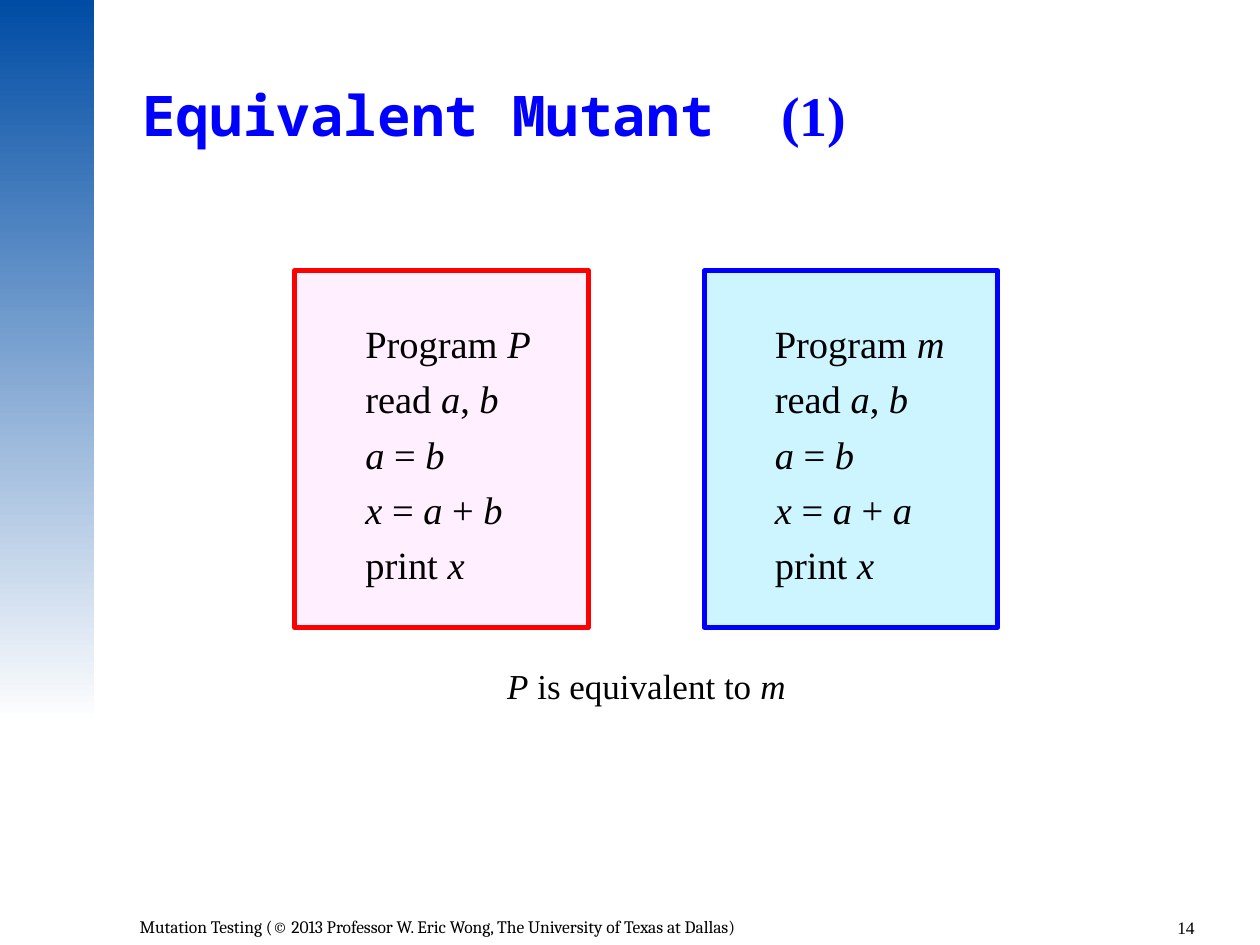
from lxml import etree
from pptx import Presentation
from pptx.dml.color import RGBColor
from pptx.enum import shapes, text
from pptx.oxml.ns import qn
from pptx.util import Inches, Pt

BLUE = RGBColor(0x00, 0x00, 0xFF)
RED = RGBColor(0xFF, 0x00, 0x00)
BLACK = RGBColor(0x00, 0x00, 0x00)
WHITE = RGBColor(0xFF, 0xFF, 0xFF)
NAVY = RGBColor(0x00, 0x4C, 0xA5)
PINK = RGBColor(0xFF, 0xEF, 0xFF)
CYAN = RGBColor(0xCD, 0xF5, 0xFF)
SERIF = "Times New Roman"


def style(run, size, font=SERIF, color=BLACK, bold=False, italic=False):
    run.font.size = Pt(size)
    run.font.name = font
    run.font.color.rgb = color
    run.font.bold = bold
    run.font.italic = italic


def write_math(paragraph, marked, size):
    for index, part in enumerate(marked.split("*")):
        if part:
            run = paragraph.add_run()
            run.text = part
            style(run, size, italic=index % 2 == 1)


def add_box(slide, box, fill):
    panel = slide.shapes.add_shape(
        shapes.MSO_SHAPE.RECTANGLE, *map(Inches, box))
    panel.shadow.inherit = False
    panel.line.fill.background()
    panel.fill.solid()
    panel.fill.fore_color.rgb = fill
    panel.text_frame.vertical_anchor = text.MSO_ANCHOR.MIDDLE
    return panel


def add_side_band(slide, box):
    band = add_box(slide, box, NAVY)
    band.fill.gradient()
    band.fill.gradient_angle = 270
    for stop, position, color in zip(
            band.fill.gradient_stops, (0, 1), (NAVY, WHITE)):
        stop.position = position
        stop.color.rgb = color


def add_title(slide, box, topic, number, number_offset):
    title = slide.shapes.title
    title.left, title.top, title.width, title.height = map(Inches, box)
    frame = title.text_frame
    frame.margin_left = frame.margin_right = 0
    frame.margin_top = frame.margin_bottom = 0
    frame.vertical_anchor = text.MSO_ANCHOR.TOP
    frame.auto_size = text.MSO_AUTO_SIZE.NONE
    heading = frame.paragraphs[0]
    heading.alignment = text.PP_ALIGN.LEFT
    heading.line_spacing = 0.9
    for words, font in ((topic + "\t", "Noto Sans Mono"), (number, SERIF)):
        run = heading.add_run()
        run.text = words
        style(run, 32, font, BLUE, bold=True)
    tabs = etree.SubElement(heading._p.get_or_add_pPr(), qn("a:tabLst"))
    etree.SubElement(tabs, qn("a:tab"),
                     pos=str(Inches(number_offset)), algn="l")


def add_program(slide, box, statements, fill, border):
    panel = add_box(slide, box, fill)
    panel.line.color.rgb = border
    panel.line.width = Pt(3)
    frame = panel.text_frame
    frame.margin_left = Inches(0.56)
    for index, statement in enumerate(statements):
        line = frame.add_paragraph() if index else frame.paragraphs[0]
        line.alignment = text.PP_ALIGN.LEFT
        line.line_spacing = 1.2
        write_math(line, statement, 22)


def add_programs(slide, box, gap):
    left, top, width, height = box
    column = (width - gap) / 2
    programs = (("P", "b", PINK, RED), ("m", "a", CYAN, BLUE))
    for index, (name, operand, fill, border) in enumerate(programs):
        statements = (f"Program *{name}*", "read *a*, *b*", "*a* = *b*",
                      f"*x* = *a* + *{operand}*", "print *x*")
        add_program(slide, (left + index * (column + gap), top, column, height),
                    statements, fill, border)


def add_conclusion(slide, box):
    conclusion = add_box(slide, box, WHITE)
    conclusion.text_frame.word_wrap = False
    line = conclusion.text_frame.paragraphs[0]
    line.alignment = text.PP_ALIGN.CENTER
    write_math(line, "*P* is equivalent to *m*", 20)


def add_footer_text(slide, box, words, font, alignment):
    footer = slide.shapes.add_textbox(*map(Inches, box))
    footer.text_frame.word_wrap = True
    line = footer.text_frame.paragraphs[0]
    line.text = words
    line.alignment = alignment
    style(line.runs[0], 10, font)


def main():
    deck = Presentation()
    deck.slide_width, deck.slide_height = Inches(10), Inches(7.5)
    slide = deck.slides.add_slide(deck.slide_layouts[5])
    add_side_band(slide, (0, 0, 0.75, 5.75))
    add_title(slide, (1.13, 0.7, 8.48, 0.59), "Equivalent Mutant", "(1)", 5.07)
    add_programs(slide, (2.34, 2.15, 5.58, 2.83), 0.92)
    add_conclusion(slide, (3.84, 5.23, 2.58, 0.42))
    add_footer_text(
        slide, (1.01, 7.22, 7.88, 0.28),
        "Mutation Testing (© 2013 Professor W. Eric Wong, "
        "The University of Texas at Dallas)",
        "Cambria", text.PP_ALIGN.LEFT)
    add_footer_text(slide, (9, 7.23, 0.58, 0.3), "14", SERIF,
                    text.PP_ALIGN.RIGHT)
    deck.save("out.pptx")


if __name__ == "__main__":
    main()
